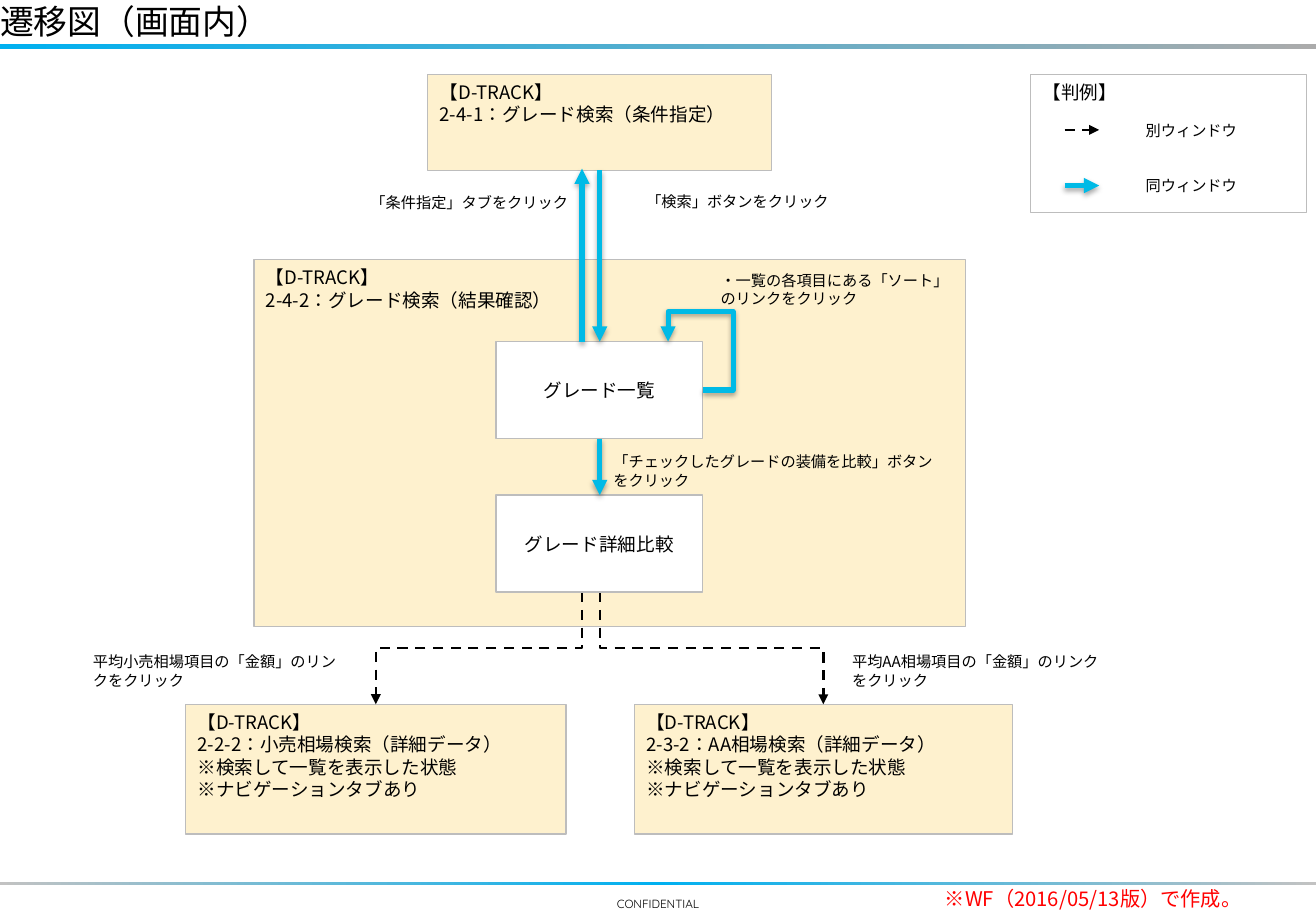
from lxml.etree import SubElement
from pptx import Presentation
from pptx.dml.color import RGBColor
from pptx.enum.dml import MSO_LINE
from pptx.enum.lang import MSO_LANGUAGE_ID
from pptx.enum.shapes import MSO_CONNECTOR, MSO_SHAPE
from pptx.enum.text import MSO_ANCHOR, PP_ALIGN
from pptx.oxml.ns import qn
from pptx.util import Pt

COLORS = {"cream": "FEF1CE", "white": "FFFFFF", "border": "BDBDBD", "black": "000000",
          "cyan": "00BAE6", "bar": "00B0F0", "bar_end": "ABABAB", "silver": "C2C2C2",
          "red": "FF0000"}
FONT = "Noto Sans CJK JP"
SYSTEM = "【D-TRACK】"


def rgb(name):
    return RGBColor.from_string(COLORS[name])


def write(s, lines, size, color="black", align=PP_ALIGN.LEFT, anchor=MSO_ANCHOR.TOP,
          font=FONT, inset=True):
    tf = s.text_frame
    tf.word_wrap = True
    tf.vertical_anchor = anchor
    if not inset:
        tf.margin_left = tf.margin_right = tf.margin_top = tf.margin_bottom = 0
    for i, line in enumerate(lines):
        p = tf.add_paragraph() if i else tf.paragraphs[0]
        p.alignment = align
        p.line_spacing = Pt(round(size * 1.22, 1))
        r = p.add_run()
        r.text = line
        r.font.size = Pt(size)
        r.font.name = font
        r.font.color.rgb = rgb(color)
        r.font.language_id = MSO_LANGUAGE_ID.JAPANESE
        SubElement(r.font._element, qn("a:ea"), typeface=font)


def add_text(slide, box, lines, size, **style):
    s = slide.shapes.add_textbox(*map(Pt, box))
    write(s, lines, size, **style)


def add_box(slide, box, lines, fill="cream", **style):
    s = slide.shapes.add_shape(MSO_SHAPE.RECTANGLE, *map(Pt, box))
    s.shadow.inherit = False
    s.fill.solid()
    s.fill.fore_color.rgb = rgb(fill)
    s.line.color.rgb = rgb("border")
    s.line.width = Pt(0.75)
    write(s, lines, 11, **style)


def add_bar(slide, box, colors):
    s = slide.shapes.add_shape(MSO_SHAPE.RECTANGLE, *map(Pt, box))
    s.shadow.inherit = False
    s.line.fill.background()
    s.fill.gradient()
    s.fill.gradient_angle = 0
    stops = s._element.spPr.find(qn("a:gradFill")).find(qn("a:gsLst"))
    for stop in list(stops):
        stops.remove(stop)
    for i, name in enumerate(colors):
        stop = SubElement(stops, qn("a:gs"), pos=str(100000 * i // (len(colors) - 1)))
        SubElement(stop, qn("a:srgbClr"), val=COLORS[name])


def add_arrow(slide, start, end, same_window, kind=MSO_CONNECTOR.STRAIGHT):
    c = slide.shapes.add_connector(kind, *map(Pt, (*start, *end)))
    c.line.color.rgb = rgb("cyan" if same_window else "black")
    c.line.width = Pt(3 if same_window else 1.5)
    if not same_window:
        c.line.dash_style = MSO_LINE.DASH
    spPr = c._element.spPr
    SubElement(spPr.find(qn("a:ln")), qn("a:tailEnd"), type="triangle")
    effects = SubElement(spPr, qn("a:effectLst"))
    if same_window:
        shadow = SubElement(effects, qn("a:outerShdw"), blurRad=str(Pt(3.1)),
                            dist=str(Pt(1.8)), dir="5400000", rotWithShape="0")
        color = SubElement(shadow, qn("a:srgbClr"), val=COLORS["black"])
        SubElement(color, qn("a:alpha"), val="35000")
    return c


def add_drop_arrow(slide, start, end):
    (x1, y1), (x2, y2) = start, end
    cx, cy = (x1 + x2) / 2, (y1 + y2) / 2
    half_w, half_h = (y2 - y1) / 2, abs(x2 - x1) / 2
    side = 1 if x2 > x1 else -1
    c = add_arrow(slide, (cx + side * half_w, cy - half_h), (cx - side * half_w, cy + half_h),
                  False, MSO_CONNECTOR.ELBOW)
    c._element.spPr.find(qn("a:xfrm")).set("rot", str((270 if side > 0 else 90) * 60000))


def add_loop_arrow(slide, start, end):
    c = add_arrow(slide, start, end, True, MSO_CONNECTOR.ELBOW)
    geom = c._element.spPr.find(qn("a:prstGeom"))
    geom.set("prst", "bentConnector4")
    guides = geom.find(qn("a:avLst"))
    for name, value in (("adj1", -88000), ("adj2", 162100)):
        SubElement(guides, qn("a:gd"), name=name, fmla=f"val {value}")


def header(slide, x, y, w, h):
    add_bar(slide, (x, y + h - 3, w, 3), ("bar", "bar_end"))
    add_text(slide, (x, y, 572.5, 35), ["遷移図（画面内）"], 20, inset=False)


def footer(slide, x, y, w, h):
    add_bar(slide, (x, y, w, 1.5), ("silver", "bar", "silver"))
    add_text(slide, (x + w / 2 - 67.5, y + 2, 135, h - 2), ["CONFIDENTIAL"], 7,
             font="Quicksand", align=PP_ALIGN.CENTER, anchor=MSO_ANCHOR.BOTTOM, inset=False)
    add_text(slide, (x + 560, y + 2, 212, 28), ["※WF（2016/05/13版）で作成。"], 12,
             color="red", inset=False)


def legend(slide, x, y, w, h):
    add_box(slide, (x, y, w, h), ["【判例】"], fill="white")
    for i, label in enumerate(("別ウィンドウ", "同ウィンドウ")):
        mid = y + 33 + 33 * i
        add_arrow(slide, (x + 20, mid), (x + 40.5, mid), i == 1)
        add_text(slide, (x + 61, mid - 16.5, w - 61, 33), [label], 9, anchor=MSO_ANCHOR.MIDDLE)


def diagram(slide, x, y, w, h):
    axis, back = x + 307.5, x + 297
    step_x, step_w, step_h = x + 246, 122.5, 57.5
    list_y, compare_y = y + 158.5, y + 249.5
    search_bottom, target_y = y + 57, y + 373.5
    notes = ["※検索して一覧を表示した状態", "※ナビゲーションタブあり"]
    targets = (
        (x + 62, 225.5, back, "2-2-2：小売相場検索（詳細データ）"),
        (x + 328, 224, axis, "2-3-2：AA相場検索（詳細データ）"),
    )
    add_box(slide, (x + 102.5, y + 110, 422, 217.5), [SYSTEM, "2-4-2：グレード検索（結果確認）"])
    add_box(slide, (x + 205.5, y, 204, 57), [SYSTEM, "2-4-1：グレード検索（条件指定）"])
    for left, width, start_x, name in targets:
        add_box(slide, (left, target_y, width, h - 373.5), [SYSTEM, name, *notes])
        add_drop_arrow(slide, (start_x, compare_y + step_h), (left + width / 2, target_y))
    for top, name in ((list_y, "グレード一覧"), (compare_y, "グレード詳細比較")):
        add_box(slide, (step_x, top, step_w, step_h), [name], fill="white",
                align=PP_ALIGN.CENTER, anchor=MSO_ANCHOR.MIDDLE)
    add_arrow(slide, (axis, search_bottom), (axis, list_y), True)
    add_arrow(slide, (back, list_y), (back, search_bottom - 1), True)
    add_arrow(slide, (axis, list_y + step_h), (axis, compare_y), True)
    add_loop_arrow(slide, (step_x + step_w, list_y + step_h / 2), (x + 348, list_y))
    for left, top, width, height, label in (
        (164.5, 67, 144, 34, "「条件指定」タブをクリック"),
        (328, 66, 163.5, 34, "「検索」ボタンをクリック"),
        (372, 113, 152.5, 53, "・一覧の各項目にある「ソート」のリンクをクリック"),
        (308.5, 220.5, 204.5, 57.5, "「チェックしたグレードの装備を比較」ボタンをクリック"),
        (0, 339, 163.5, 24.5, "平均小売相場項目の「金額」のリンクをクリック"),
        (450, 339, 163.5, 24.5, "平均AA相場項目の「金額」のリンクをクリック"),
    ):
        add_text(slide, (x + left, y + top, width, height), [label], 9)


def main():
    prs = Presentation()
    prs.slide_width, prs.slide_height = Pt(780), Pt(540)
    slide = prs.slides.add_slide(prs.slide_layouts[6])
    header(slide, 0, 0, 780, 29)
    diagram(slide, 48, 44, 613.5, 450.5)
    legend(slide, 611, 44, 163.5, 82)
    footer(slide, 0, 523, 780, 17)
    prs.save("out.pptx")


if __name__ == "__main__":
    main()
